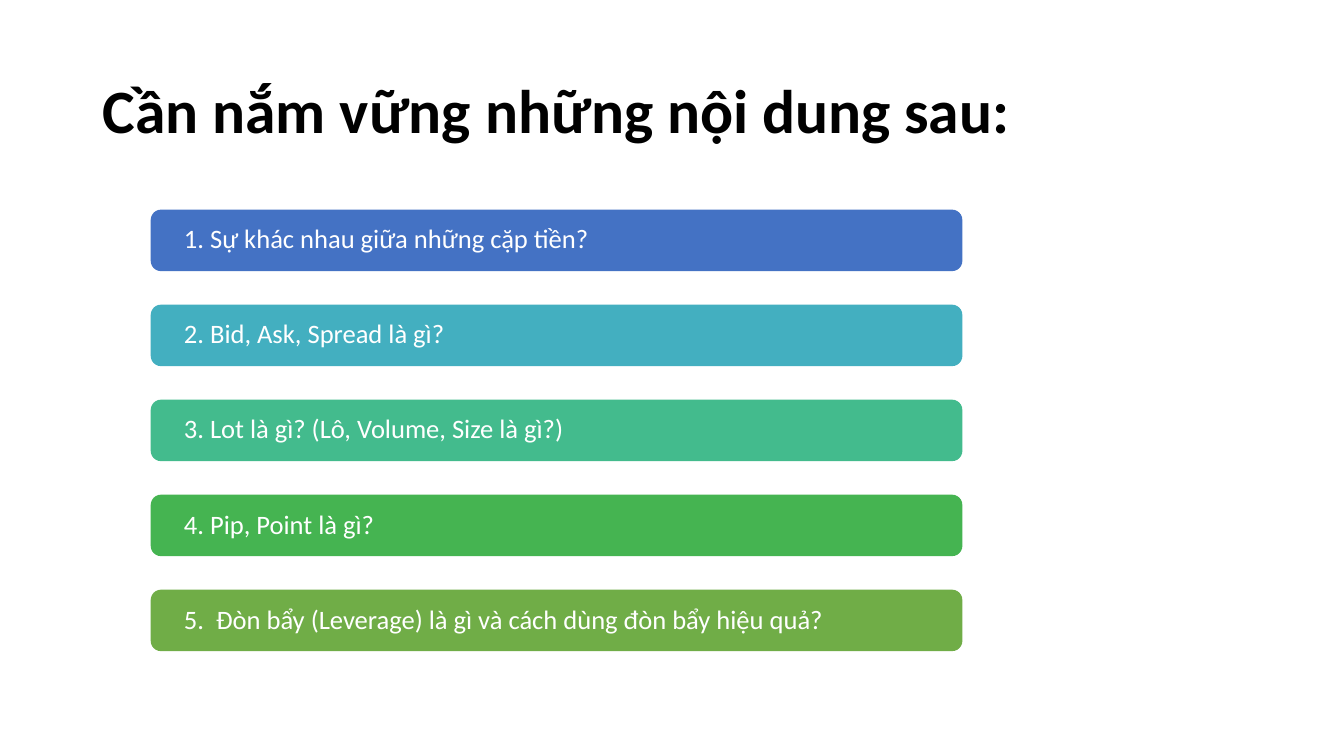
import pptx
import pptx.util
import pptx.dml.color
import pptx.enum.shapes
import pptx.enum.text

# Content
TITLE = "Cần nắm vững những nội dung sau:"
TOPICS = [
    ("1. Sự khác nhau giữa những cặp tiền?", "4472C4"),
    ("2. Bid, Ask, Spread là gì?", "43AFC0"),
    ("3. Lot là gì? (Lô, Volume, Size là gì?)", "43BB8D"),
    ("4. Pip, Point là gì?", "45B451"),
    ("5.  Đòn bẩy (Leverage) là gì và cách dùng đòn bẩy hiệu quả?", "70AD47"),
]

# Layout in inches
WIDTH, HEIGHT = 13.33, 7.5
MARGIN, BODY = 0.92, 11.5
INDENT = BODY * 0.05
BAR_WIDTH, BAR_HEIGHT = BODY * 0.7, 0.61
TOP, PITCH = 2.08, 0.9425

inch = pptx.util.Inches


def color(code):
    return pptx.dml.color.RGBColor.from_string(code)


def write(shape, text, size, ink, bold=False, inset=0.1):
    frame = shape.text_frame
    frame.word_wrap = True
    frame.vertical_anchor = pptx.enum.text.MSO_ANCHOR.MIDDLE
    frame.margin_left = frame.margin_right = inch(inset)
    frame.margin_top = frame.margin_bottom = 0
    line = frame.paragraphs[0]
    line.text = text
    line.alignment = pptx.enum.text.PP_ALIGN.LEFT
    line.line_spacing = 0.9
    line.font.name = "Calibri"
    line.font.size = pptx.util.Pt(size)
    line.font.bold = bold
    line.font.color.rgb = color(ink)


deck = pptx.Presentation()
deck.slide_width, deck.slide_height = inch(WIDTH), inch(HEIGHT)
slide = deck.slides.add_slide(deck.slide_layouts[6])

# Title
title = slide.shapes.add_textbox(inch(MARGIN), inch(0.4), inch(BODY), inch(1.45))
write(title, TITLE, size=44, ink="000000", bold=True)

# Topic bars
for row, (text, fill) in enumerate(TOPICS):
    bar = slide.shapes.add_shape(
        pptx.enum.shapes.MSO_SHAPE.ROUNDED_RECTANGLE,
        inch(MARGIN + INDENT), inch(TOP + row * PITCH),
        inch(BAR_WIDTH), inch(BAR_HEIGHT))
    bar.shadow.inherit = False
    bar.fill.solid()
    bar.fill.fore_color.rgb = color(fill)
    bar.line.fill.background()
    write(bar, text, size=19, ink="FFFFFF", inset=0.3)

deck.save("out.pptx")
